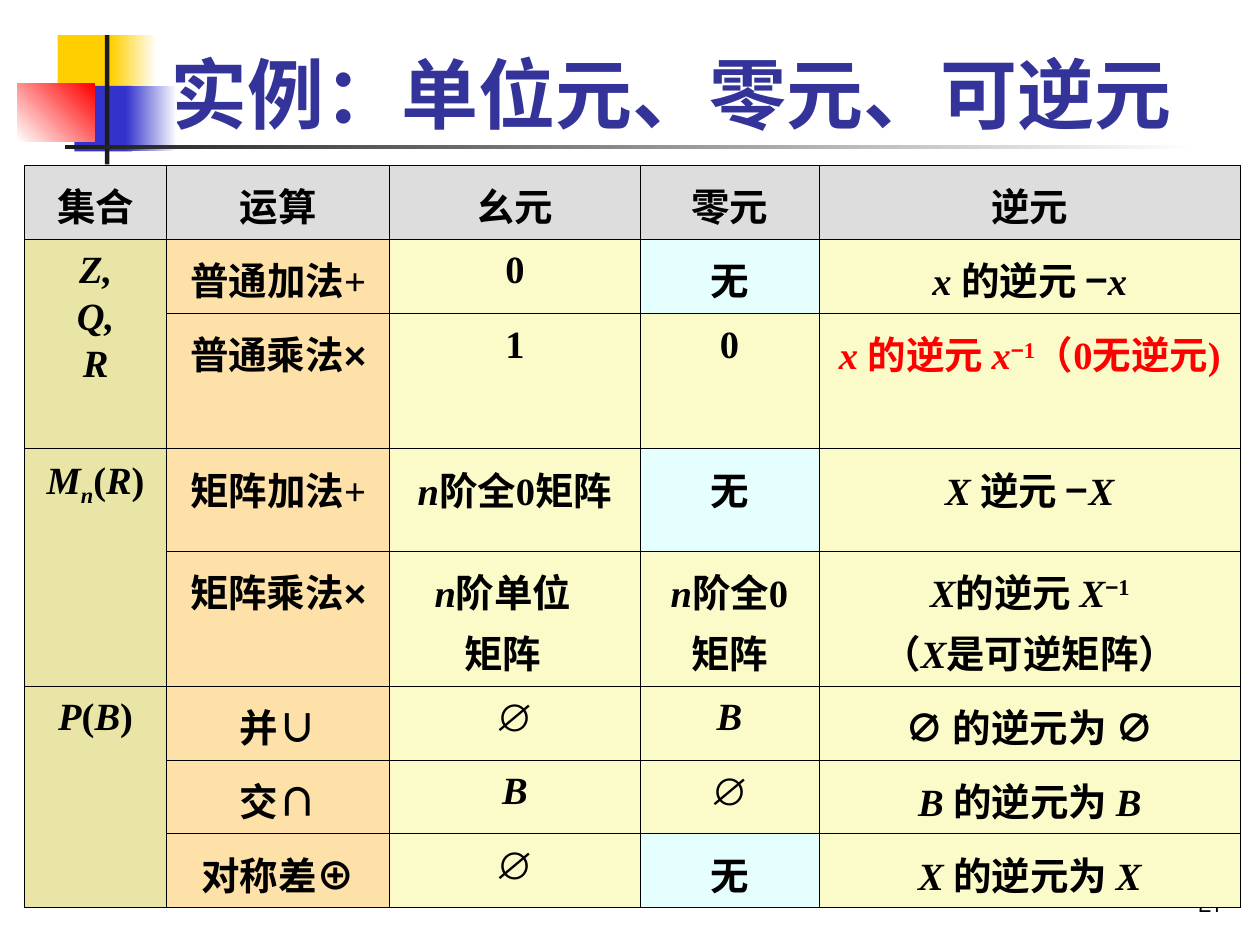
from itertools import groupby

from lxml import etree
from pptx import Presentation
from pptx.dml.color import RGBColor
from pptx.enum.shapes import MSO_SHAPE
from pptx.enum.text import MSO_ANCHOR, MSO_AUTO_SIZE, PP_ALIGN
from pptx.oxml.ns import qn
from pptx.util import Pt

RECTANGLE = MSO_SHAPE.RECTANGLE
BOTTOM = MSO_ANCHOR.BOTTOM
LEFT, CENTER, RIGHT = PP_ALIGN.LEFT, PP_ALIGN.CENTER, PP_ALIGN.RIGHT

TITLE = "实例：单位元、零元、可逆元"
PAGE_NUMBER = "21"

# left, top, width, height, colours (two make a gradient), angle
DECORATIONS = [
    (33, 20, 34.5, 37.5, ["FFCF01"], 0),
    (63.5, 20, 26, 37.5, ["FFCF01", "FFFFFF"], 0),
    (42.5, 49, 33, 37.5, ["3333CC"], 0),
    (72, 49, 29, 37.5, ["3333CC", "FFFFFF"], 0),
    (10, 48, 44, 33, ["FFFFFF", "FF0000"], 45),
    (60, 20, 2.5, 74, ["1C1C1C"], 0),
    (37, 83, 648, 2.25, ["1C1C1C", "FFFFFF"], 0),
]

# Cell markup: *italic*, ^superscript^, _subscript_
STYLE_MARKS = "*^_"
SYMBOLS = "−×∪∩∅⊕"
HEADER = ["集合", "运算", "幺元", "零元", "逆元"]
GROUPS = [
    ("*Z,*\n*Q,*\n*R*", [
        ["普通加法+", "0", "无", "*x *的逆元 −*x*"],
        ["普通乘法×", "1", "0", "*x *的逆元 *x*^−1^（0无逆元)"],
    ]),
    ("*M_n_*(*R*)", [
        ["矩阵加法+", "*n*阶全0矩阵", "无", "*X *逆元 −*X*"],
        ["矩阵乘法×", "*n*阶单位\n矩阵", "*n*阶全0\n矩阵",
         "*X*的逆元 *X*^−1^\n（*X*是可逆矩阵）"],
    ]),
    ("*P*(*B*)", [
        ["并∪", "∅", "*B*", "∅ 的逆元为 ∅"],
        ["交∩", "*B*", "∅", "*B *的逆元为 *B*"],
        ["对称差⊕", "∅", "无", "*X *的逆元为 *X*"],
    ]),
]
RED_CELL = (2, 4)
SHIFTED_CELL = (4, 2)
COLUMN_WIDTHS = [81.25, 127.5, 143, 102.25, 241]
ROW_HEIGHTS = [36, 42.5, 65.5, 58.5, 65.5, 36, 36, 36]
HEADER_FILL, SET_FILL, OPERATION_FILL = "DDDDDD", "E8E5A6", "FEE1A8"
VALUE_FILL, NONE_FILL = "FBFBC9", "E5FFFF"


def color(value):
    return RGBColor.from_string(value)


def format_span(span, font, size, value, bold):
    span.font.name = font
    span.font.size = Pt(size)
    span.font.color.rgb = color(value)
    span.font.bold = bold


def add_decoration(page, left, top, width, height, colors, angle):
    box = page.shapes.add_shape(RECTANGLE, Pt(left), Pt(top), Pt(width), Pt(height))
    box.shadow.inherit = False
    box.line.fill.background()
    if len(colors) == 1:
        box.fill.solid()
        box.fill.fore_color.rgb = color(colors[0])
        return
    box.fill.gradient()
    box.fill.gradient_angle = angle
    for stop, value in zip(box.fill.gradient_stops, colors):
        stop.color.rgb = color(value)


def styled_characters(markup):
    """Yield each visible character with the style marks in force and its font."""
    active = set()
    for character in markup:
        if character in STYLE_MARKS:
            active ^= {character}
        else:
            font = "Arial" if character in SYMBOLS else "Times New Roman"
            yield character, (frozenset(active), font)


def write_paragraph(paragraph, markup, font, value):
    paragraph.alignment = CENTER
    paragraph.line_spacing = 1.1
    properties = paragraph._p.get_or_add_pPr()
    properties.set("marL", str(Pt(27)))
    properties.set("indent", str(Pt(-27)))
    for (marks, default_font), group in groupby(styled_characters(markup), lambda item: item[1]):
        span = paragraph.add_run()
        span.text = "".join(character for character, _ in group)
        format_span(span, font or default_font, 22, value, True)
        span.font.italic = "*" in marks
        if "^" in marks or "_" in marks:
            span.font._element.set("baseline", "30000" if "^" in marks else "-25000")


def add_borders(cell):
    properties = cell._tc.get_or_add_tcPr()
    for index, side in enumerate(("a:lnL", "a:lnR", "a:lnT", "a:lnB")):
        line = etree.Element(qn(side), w=str(Pt(0.45)))
        fill = etree.SubElement(line, qn("a:solidFill"))
        etree.SubElement(fill, qn("a:srgbClr"), val="000000")
        properties.insert(index, line)


def fill_cell(cell, markup, fill, font=None, value="000000"):
    cell.fill.solid()
    cell.fill.fore_color.rgb = color(fill)
    frame = cell.text_frame
    for index, line in enumerate(markup.split("\n")):
        paragraph = frame.add_paragraph() if index else frame.paragraphs[0]
        write_paragraph(paragraph, line, font, value)


def add_operations_table(page):
    frame = page.shapes.add_table(
        len(ROW_HEIGHTS), len(COLUMN_WIDTHS), Pt(14), Pt(94.5),
        Pt(sum(COLUMN_WIDTHS)), Pt(sum(ROW_HEIGHTS)))
    table = frame.table
    for column, width in zip(table.columns, COLUMN_WIDTHS):
        column.width = Pt(width)
    for row, height in zip(table.rows, ROW_HEIGHTS):
        row.height = Pt(height)
    for column, heading in enumerate(HEADER):
        fill_cell(table.cell(0, column), heading, HEADER_FILL, "Roboto")

    row = 1
    for set_name, operations in GROUPS:
        set_cell = table.cell(row, 0)
        set_cell.merge(table.cell(row + len(operations) - 1, 0))
        fill_cell(set_cell, set_name, SET_FILL)
        for operation in operations:
            for column, markup in enumerate(operation, start=1):
                fill = (OPERATION_FILL if column == 1
                        else NONE_FILL if markup == "无" else VALUE_FILL)
                value = "FF0000" if (row, column) == RED_CELL else "000000"
                fill_cell(table.cell(row, column), markup, fill, value=value)
            row += 1

    table.cell(*SHIFTED_CELL).margin_right = Pt(21)
    for cell in table.iter_cells():
        add_borders(cell)


def write_line(box, text, size, value, bold, alignment):
    frame = box.text_frame
    frame.text = text
    frame.word_wrap = True
    frame.auto_size = MSO_AUTO_SIZE.NONE
    frame.vertical_anchor = BOTTOM
    frame.paragraphs[0].alignment = alignment
    format_span(frame.paragraphs[0].runs[0], "Karla", size, value, bold)


def main():
    deck = Presentation()
    deck.slide_width, deck.slide_height = Pt(720), Pt(540)
    page = deck.slides.add_slide(deck.slide_layouts[5])
    for decoration in DECORATIONS:
        add_decoration(page, *decoration)

    number = page.shapes.add_textbox(Pt(554.5), Pt(492), Pt(150), Pt(36))
    write_line(number, PAGE_NUMBER, 14, "000000", False, RIGHT)

    title = page.shapes.title
    title.left, title.top, title.width, title.height = Pt(90.5), Pt(6), Pt(613.5), Pt(77)
    write_line(title, TITLE, 44, "333399", True, LEFT)

    add_operations_table(page)
    deck.save("out.pptx")


if __name__ == "__main__":
    main()
